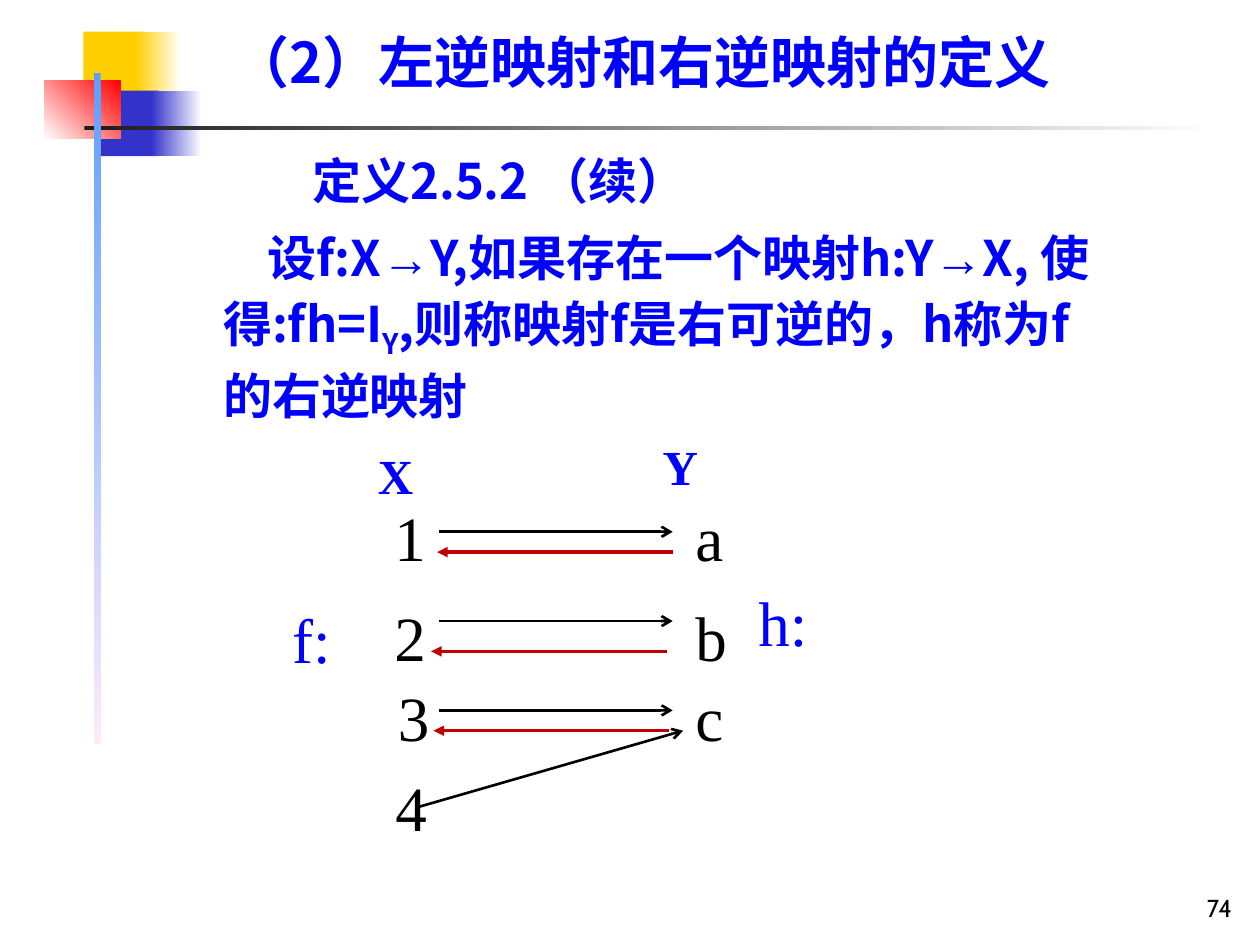
from lxml import etree
from pptx import Presentation
from pptx import util as u
from pptx.dml import color
from pptx.enum import shapes, text
from pptx.oxml import ns

BLUE, BLACK, RED = "0000FF", "000000", "C00000"
SANS, SERIF = "Noto Sans CJK SC", "Times New Roman"


def rgb(value):
    return color.RGBColor.from_string(value)


def apply(target, values):
    for name, value in values.items():
        setattr(target, name, value)


def add_child(parent, tag, **attributes):
    return etree.SubElement(parent, ns.qn(tag), attributes)


class SlideBuilder:
    heading = {"size": u.Pt(28), "bold": True}
    title = {"size": u.Pt(32), "bold": True}
    large = {"size": u.Pt(36)}
    small = {"size": u.Pt(14)}
    tight = {"line_spacing": 0.9}
    centred = {"alignment": text.PP_ALIGN.CENTER}
    padding = (0.25, 0.13)

    def __init__(self, slide):
        self.slide = slide

    def block(self, box, start, end=None, angle=0):
        shape = self.slide.shapes.add_shape(shapes.MSO_SHAPE.RECTANGLE, *map(u.Cm, box))
        shape.shadow.inherit = False
        shape.line.fill.background()
        if end is None:
            shape.fill.solid()
            shape.fill.fore_color.rgb = rgb(start)
            return
        shape.fill.gradient()
        shape.fill.gradient_angle = angle
        for stop, value in zip(shape.fill.gradient_stops, (start, end)):
            stop.color.rgb = rgb(value)

    def textbox(self, box, padding=(0, 0), grow=True):
        frame = self.slide.shapes.add_textbox(*map(u.Cm, box)).text_frame
        across, down = map(u.Cm, padding)
        fit = text.MSO_AUTO_SIZE
        apply(frame, {
            "word_wrap": True,
            "auto_size": fit.SHAPE_TO_FIT_TEXT if grow else fit.NONE,
            "margin_left": across, "margin_right": across,
            "margin_top": down, "margin_bottom": down,
        })
        return frame

    def styled_run(self, paragraph, content, font, name, ink, baseline=0):
        run = paragraph.add_run()
        run.text = content
        apply(run.font, {**font, "name": name})
        run.font.color.rgb = rgb(ink)
        properties = run._r.get_or_add_rPr()
        add_child(properties, "a:ea", typeface=name)
        if baseline:
            properties.set("baseline", str(baseline * 1000))

    def label(self, box, content, font, name=SERIF, ink=BLUE, layout=tight, padding=(0, 0)):
        paragraph = self.textbox(box, padding).paragraphs[0]
        apply(paragraph, layout)
        self.styled_run(paragraph, content, font, name, ink)

    def element(self, left, top, content):
        self.label((left, top, 0.74, 1.78), content, self.large, SERIF, BLACK,
                   self.centred, self.padding)

    def definition(self, box, paragraphs):
        frame = self.textbox(box)
        for index, (indent, runs) in enumerate(paragraphs):
            paragraph = frame.add_paragraph() if index else frame.paragraphs[0]
            apply(paragraph, {"line_spacing": 1.1, "space_before": u.Pt(7 if index else 0)})
            properties = paragraph._p.get_or_add_pPr()
            properties.set("marL", "0")
            properties.set("indent", str(int(u.Cm(indent))))
            for content, name, baseline in runs:
                self.styled_run(paragraph, content, self.heading, name, BLUE, baseline)

    def page_number(self, box, content):
        frame = self.textbox(box, self.padding, grow=False)
        frame.vertical_anchor = text.MSO_ANCHOR.BOTTOM
        paragraph = frame.paragraphs[0]
        paragraph.alignment = text.PP_ALIGN.RIGHT
        self.styled_run(paragraph, content, self.small, "Cabin", BLACK)

    def arrow(self, start, end, ink=BLACK, width=1.5, head="arrow"):
        connector = self.slide.shapes.add_connector(
            shapes.MSO_CONNECTOR.STRAIGHT, *map(u.Cm, start + end))
        connector.line.width = u.Pt(width)
        connector.line.color.rgb = rgb(ink)
        properties = connector._element.spPr
        add_child(properties.find(ns.qn("a:ln")), "a:tailEnd", type=head)
        add_child(properties, "a:effectLst")


def main():
    presentation = Presentation()
    presentation.slide_width, presentation.slide_height = u.Cm(25.4), u.Cm(19.05)
    builder = SlideBuilder(presentation.slides.add_slide(presentation.slide_layouts[6]))

    builder.block((1.68, 0.64, 1.22, 1.32), "FFCF01")
    builder.block((2.74, 0.64, 0.91, 1.32), "FFCF01", "FFFFFF")
    builder.block((2.03, 1.83, 1.17, 1.32), "3333CC")
    builder.block((3.05, 1.83, 1.02, 1.32), "3333CC", "FFFFFF")
    builder.block((0.89, 1.63, 1.55, 1.17), "FFFFFF", "FF0000", 45)
    builder.block((1.7, 2.54, 22.86, 0.08), "1C1C1C", "FFFFFF")
    builder.block((1.9, 1.47, 0.13, 13.54), "5E9EFF", "FFEBFA", 270)

    builder.page_number((19.81, 17.45, 5.28, 1.27), "74")
    builder.definition((4.5, 2.92, 17.81, 5.64), [
        (1.8, [("定义2.5.2 （续）", SANS, 0)]),
        (0.9, [
            ("设f:X", SANS, 0), ("→", "Arial", 0),
            ("Y,如果存在一个映射h:Y", SANS, 0), ("→", "Arial", 0),
            ("X, 使得:fh=I", SANS, 0), ("Y", SANS, -25),
            (",则称映射f是右可逆的，h称为f的右逆映射", SANS, 0),
        ]),
    ])
    builder.label((4.7, 0.71, 17.6, 1.22), "（2）左逆映射和右逆映射的定义", builder.title, SANS)

    builder.label((7.62, 9.12, 1.07, 1.07), "X", builder.heading)
    builder.label((13.36, 8.94, 1.35, 1.07), "Y", builder.heading)
    builder.label((5.89, 12.27, 1.07, 1.37), "f:", builder.large)
    builder.label((15.29, 11.94, 1.07, 1.37), "h:", builder.large)

    for left, top, number in ((7.7, 9.93, "1"), (7.7, 11.94, "2"),
                              (7.77, 13.54, "3"), (7.72, 15.37, "4")):
        builder.element(left, top, number)
    for top, letter in ((9.93, "a"), (11.94, "b"), (13.54, "c")):
        builder.element(13.77, top, letter)

    for row in range(3):
        height = 10.72 + 1.8 * row
        builder.arrow((8.84, height), (13.56, height))
    for right, height in ((13.56, 11.13), (13.44, 13.13), (13.49, 14.73)):
        builder.arrow((right, height), (right - 4.75, height), RED, 2, "triangle")
    builder.arrow((8.46, 16.26), (13.77, 14.73))

    presentation.save("out.pptx")


if __name__ == "__main__":
    main()
